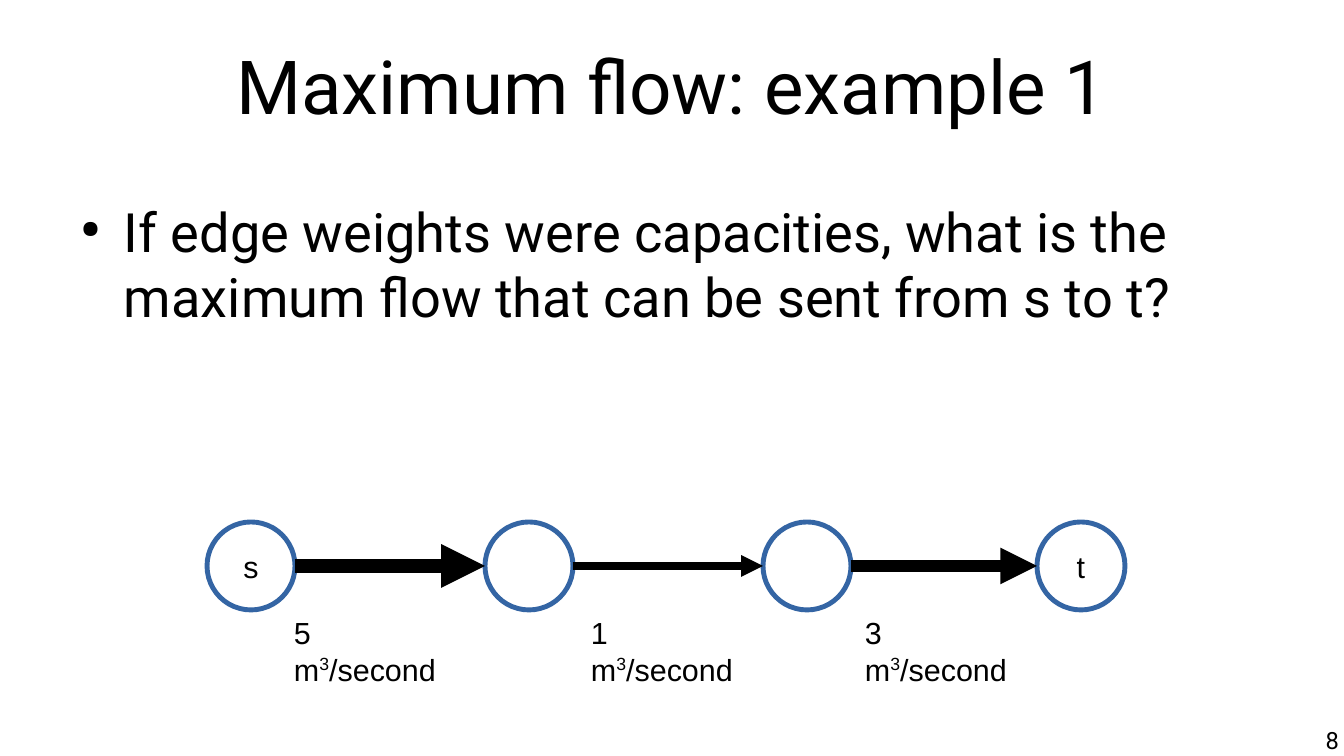
"""Build the slide on maximum flow along a chain of four nodes."""
from lxml import etree
from pptx import Presentation
from pptx import util as u
from pptx.dml.color import RGBColor
from pptx.enum import shapes, text
from pptx.oxml.ns import qn

TITLE = "Maximum flow: example 1"
QUESTION = "If edge weights were capacities, what is the maximum flow that can be sent from s to t?"
PAGE_NUMBER = "8"
NODES = [("s", 207), ("", 485), ("", 763), ("t", 1037)]
EDGES = [("5", 8.65, 278), ("1", 4.31, 575), ("3", 7.2, 849)]
COLORS = {"ink": "000000", "paper": "FFFFFF", "ring": "3465A4"}

PX = 7500
SLIDE_SIZE = (1344, 756)
NODE_TOP, NODE_SIZE = 522, 88
LABEL_TOP, LABEL_SIZE = 604, (199, 54)
INDENT, HANG = 57, 43


def px(*values):
    return [u.Emu(value * PX) for value in values]


def color(name):
    return RGBColor.from_string(COLORS[name])


def style(span, size, font):
    span.font.size = u.Pt(size)
    span.font.name = font
    span.font.color.rgb = color("ink")


def set_frame(frame, insets, anchor, wrap):
    frame.margin_left = frame.margin_right = u.Emu(insets[0] * PX)
    frame.margin_top = frame.margin_bottom = u.Emu(insets[1] * PX)
    frame.vertical_anchor = anchor
    frame.word_wrap = wrap


def add_text(page, area, content, size, align, anchor=text.MSO_ANCHOR.TOP):
    box = page.shapes.add_textbox(*px(*area))
    set_frame(box.text_frame, (0, 0), anchor, True)
    para = box.text_frame.paragraphs[0]
    para.text = content
    para.alignment = align
    style(para.runs[0], size, "Roboto")
    return para


def add_bullet(para):
    props = para._p.get_or_add_pPr()
    props.set("marL", str(INDENT * PX))
    props.set("indent", str(-HANG * PX))
    bullet_color = etree.SubElement(props, qn("a:buClr"))
    etree.SubElement(bullet_color, qn("a:srgbClr"), val=COLORS["ink"])
    etree.SubElement(props, qn("a:buSzPct"), val="45000")
    etree.SubElement(props, qn("a:buChar"), char="●")


def add_node(page, name, left):
    node = page.shapes.add_shape(
        shapes.MSO_SHAPE.OVAL, *px(left, NODE_TOP, NODE_SIZE, NODE_SIZE))
    node.shadow.inherit = False
    node.fill.solid()
    node.fill.fore_color.rgb = color("paper")
    node.line.color.rgb = color("ring")
    node.line.width = u.Pt(2.89)
    if name:
        set_frame(node.text_frame, (15, 9), text.MSO_ANCHOR.MIDDLE, False)
        para = node.text_frame.paragraphs[0]
        para.text = name
        para.alignment = text.PP_ALIGN.CENTER
        style(para.runs[0], 18, "Arial")


def add_edge(page, start, end, width):
    middle = NODE_TOP + NODE_SIZE // 2
    edge = page.shapes.add_connector(
        shapes.MSO_CONNECTOR.STRAIGHT, *px(start, middle, end, middle))
    edge.line.color.rgb = color("ink")
    edge.line.width = u.Pt(width)
    etree.SubElement(edge.line._get_or_add_ln(), qn("a:tailEnd"), type="triangle")
    etree.SubElement(edge._element.spPr, qn("a:effectLst"))


def add_capacity(page, capacity, left):
    box = page.shapes.add_textbox(*px(left, LABEL_TOP, *LABEL_SIZE))
    set_frame(box.text_frame, (16, 10), text.MSO_ANCHOR.TOP, False)
    para = box.text_frame.paragraphs[0]
    for part in (f"{capacity} m", "3", "/second"):
        span = para.add_run()
        span.text = part
        style(span, 18, "Arial")
    para.runs[1]._r.get_or_add_rPr().set("baseline", "33000")


def main():
    deck = Presentation()
    deck.slide_width, deck.slide_height = px(*SLIDE_SIZE)
    page = deck.slides.add_slide(deck.slide_layouts[6])
    align = text.PP_ALIGN
    add_text(page, (67, 1, 1210, 168), TITLE, 44, align.CENTER, text.MSO_ANCHOR.MIDDLE)
    add_bullet(add_text(page, (67, 198, 1210, 167), QUESTION, 32, align.LEFT))
    for name, left in NODES:
        add_node(page, name, left)
    for (_, start), (_, end), (capacity, width, label_left) in zip(NODES, NODES[1:], EDGES):
        add_edge(page, start + NODE_SIZE, end, width)
        add_capacity(page, capacity, label_left)
    add_text(page, (1026, 726, 313, 30), PAGE_NUMBER, 14, align.RIGHT)
    deck.save("out.pptx")


if __name__ == "__main__":
    main()
